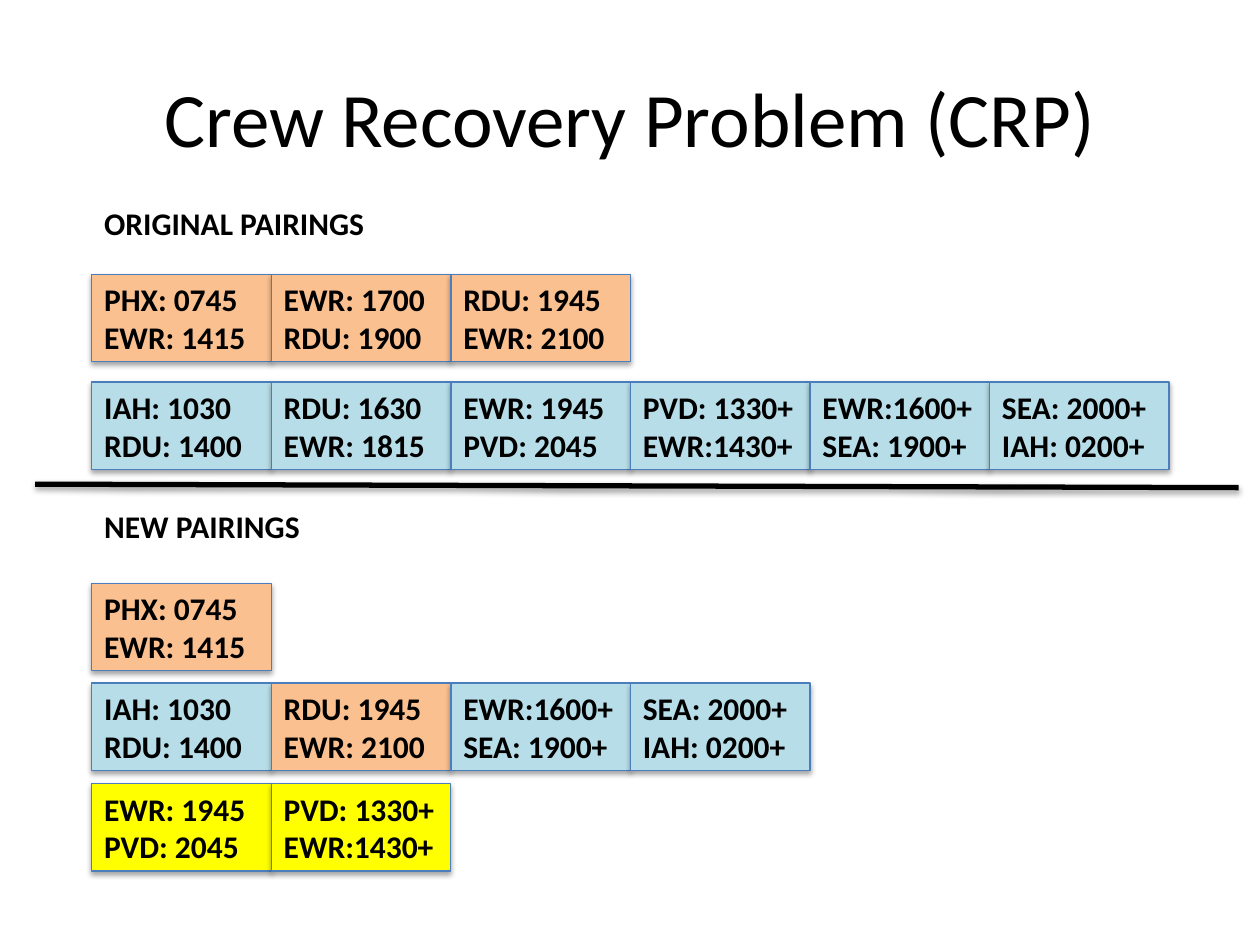
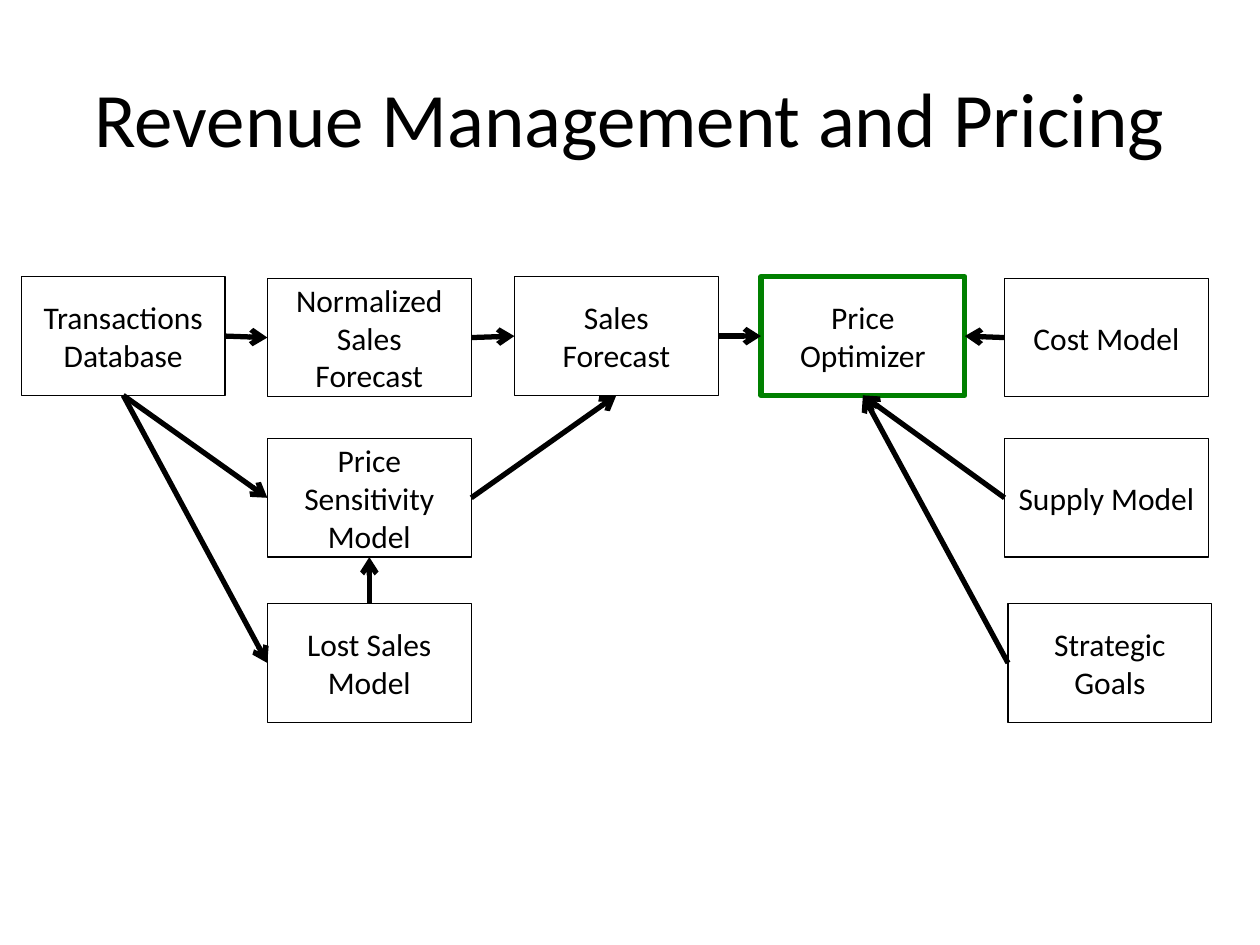
from lxml import etree
from pptx import Presentation
from pptx.dml.color import RGBColor
from pptx.enum.shapes import MSO_CONNECTOR, MSO_SHAPE
from pptx.enum.text import MSO_ANCHOR, PP_ALIGN
from pptx.oxml.ns import qn
from pptx.util import Cm, Pt

RECTANGLE = MSO_SHAPE.RECTANGLE
STRAIGHT = MSO_CONNECTOR.STRAIGHT
MIDDLE = MSO_ANCHOR.MIDDLE
LEFT, CENTER = PP_ALIGN.LEFT, PP_ALIGN.CENTER

BLACK = RGBColor(0x00, 0x00, 0x00)
ORANGE = RGBColor(0xFA, 0xC0, 0x90)
LIGHT_BLUE = RGBColor(0xB7, 0xDE, 0xE8)
YELLOW = RGBColor(0xFF, 0xFF, 0x00)
LEG_BORDER = RGBColor(0x4B, 0x7E, 0xBC)
GREEN = RGBColor(0x00, 0x80, 0x00)

FONT = "Calibri"
TITLE_ONLY = 5
TOP_SIDE, LEFT_SIDE, BOTTOM_SIDE, RIGHT_SIDE = range(4)

LEG_LEFT, LEG_WIDTH, LEG_HEIGHT = 1.85, 3.62, 1.76
BOX_WIDTH, BOX_HEIGHT = 4.11, 2.39

# Flight legs: departure and arrival of each
PHX_EWR = "PHX: 0745 EWR: 1415"
EWR_RDU = "EWR: 1700\nRDU: 1900"
RDU_EWR_LATE = "RDU: 1945 EWR: 2100"
IAH_RDU = "IAH: 1030 RDU: 1400"
RDU_EWR = "RDU: 1630\nEWR: 1815"
EWR_PVD = "EWR: 1945\nPVD: 2045"
PVD_EWR = "PVD: 1330+\nEWR:1430+"
EWR_SEA = "EWR:1600+\nSEA: 1900+"
SEA_IAH = "SEA: 2000+\nIAH: 0200+"

# Top of each row, then its legs with their colours
PAIRINGS = [
    (5.53, [(PHX_EWR, ORANGE), (EWR_RDU, ORANGE), (RDU_EWR_LATE, ORANGE)]),
    (7.7, [(leg, LIGHT_BLUE) for leg in
           (IAH_RDU, RDU_EWR, EWR_PVD, PVD_EWR, EWR_SEA, SEA_IAH)]),
    (11.76, [(PHX_EWR, ORANGE)]),
    (13.77, [(IAH_RDU, LIGHT_BLUE), (RDU_EWR_LATE, ORANGE),
             (EWR_SEA, LIGHT_BLUE), (SEA_IAH, LIGHT_BLUE)]),
    (15.8, [(EWR_PVD, YELLOW), (PVD_EWR, YELLOW)]),
]

# Left and top of each model box
MODEL_BOXES = {
    "Transactions\nDatabase": (0.43, 5.58),
    "Price Sensitivity Model": (5.39, 8.84),
    "Lost Sales Model": (5.39, 12.17),
    "Normalized Sales Forecast": (5.39, 5.61),
    "Sales Forecast": (10.37, 5.58),
    "Price Optimizer": (15.34, 5.58),
    "Cost Model": (20.25, 5.61),
    "Supply Model": (20.25, 8.84),
    "Strategic\nGoals": (20.32, 12.17),
}

DATA_FLOWS = [
    ("Transactions\nDatabase", RIGHT_SIDE, "Normalized Sales Forecast", LEFT_SIDE),
    ("Normalized Sales Forecast", RIGHT_SIDE, "Sales Forecast", LEFT_SIDE),
    ("Cost Model", LEFT_SIDE, "Price Optimizer", RIGHT_SIDE),
    ("Sales Forecast", RIGHT_SIDE, "Price Optimizer", LEFT_SIDE),
    ("Transactions\nDatabase", BOTTOM_SIDE, "Price Sensitivity Model", LEFT_SIDE),
    ("Transactions\nDatabase", BOTTOM_SIDE, "Lost Sales Model", LEFT_SIDE),
    ("Supply Model", LEFT_SIDE, "Price Optimizer", BOTTOM_SIDE),
    ("Strategic\nGoals", LEFT_SIDE, "Price Optimizer", BOTTOM_SIDE),
    ("Price Sensitivity Model", RIGHT_SIDE, "Sales Forecast", BOTTOM_SIDE),
    ("Lost Sales Model", TOP_SIDE, "Price Sensitivity Model", BOTTOM_SIDE),
]


def set_text(shape, text, size=18, bold=False, align=LEFT):
    frame = shape.text_frame
    frame.text = text
    for paragraph in frame.paragraphs:
        paragraph.alignment = align
        for run in paragraph.runs:
            run.font.name = FONT
            run.font.size = Pt(size)
            run.font.bold = bold
            run.font.color.rgb = BLACK


def add_titled_slide(prs, text):
    slide = prs.slides.add_slide(prs.slide_layouts[TITLE_ONLY])
    title = slide.shapes.title
    title.left, title.top = Cm(1.27), Cm(0.76)
    title.width, title.height = Cm(22.86), Cm(3.18)
    set_text(title, text, size=44, align=CENTER)
    title.text_frame.vertical_anchor = MIDDLE
    return slide


def set_drop_shadow(shape, distance, opacity):
    """Replace the theme's effects with a soft shadow straight below."""
    properties = shape.element.spPr
    effects = properties.find(qn("a:effectLst"))
    if effects is None:
        effects = etree.SubElement(properties, qn("a:effectLst"))
    shadow = etree.SubElement(
        effects, qn("a:outerShdw"), blurRad=str(Pt(3.1)), dist=str(Pt(distance)),
        dir="5400000", rotWithShape="0")
    color = etree.SubElement(shadow, qn("a:srgbClr"), val=str(BLACK))
    etree.SubElement(color, qn("a:alpha"), val=str(opacity * 1000))


def add_box(slide, left, top, width, height, border, border_width=0.75):
    box = slide.shapes.add_shape(
        RECTANGLE, Cm(left), Cm(top), Cm(width), Cm(height))
    box.shadow.inherit = False
    box.fill.background()
    box.line.color.rgb = border
    box.line.width = Pt(border_width)
    box.text_frame.word_wrap = True
    box.text_frame.vertical_anchor = MIDDLE
    return box


def add_flight_leg(slide, column, top, text, color):
    leg = add_box(slide, LEG_LEFT + column * LEG_WIDTH, top,
                  LEG_WIDTH, LEG_HEIGHT, LEG_BORDER)
    leg.fill.solid()
    leg.fill.fore_color.rgb = color
    set_drop_shadow(leg, 1.8, 35)
    set_text(leg, text, bold=True)


def add_heading(slide, top, width, text):
    heading = slide.shapes.add_textbox(Cm(LEG_LEFT), Cm(top), Cm(width), Cm(1.03))
    heading.text_frame.word_wrap = False
    set_text(heading, text, bold=True)


def add_thick_line(slide, x1=0, y1=0, x2=0, y2=0):
    line = slide.shapes.add_connector(STRAIGHT, Cm(x1), Cm(y1), Cm(x2), Cm(y2))
    line.line.color.rgb = BLACK
    line.line.width = Pt(3)
    etree.SubElement(line.element.spPr, qn("a:effectLst"))
    return line


def add_flow_arrow(slide, source, source_side, target, target_side):
    arrow = add_thick_line(slide)
    arrow.begin_connect(source, source_side)
    arrow.end_connect(target, target_side)
    outline = arrow.element.spPr.find(qn("a:ln"))
    etree.SubElement(outline, qn("a:tailEnd"), type="arrow")


def build_crew_recovery(prs):
    slide = add_titled_slide(prs, "Crew Recovery Problem (CRP)")
    for top, legs in PAIRINGS:
        for column, (text, color) in enumerate(legs):
            add_flight_leg(slide, column, top, text, color)
    divider = add_thick_line(slide, 0.71, 9.76, 24.97, 9.83)
    set_drop_shadow(divider, 1.6, 38)
    add_heading(slide, 3.99, 5.84, "ORIGINAL PAIRINGS")
    add_heading(slide, 10.09, 4.55, "NEW PAIRINGS")


def build_revenue_management(prs):
    slide = add_titled_slide(prs, "Revenue Management and Pricing")
    boxes = {}
    for text, (left, top) in MODEL_BOXES.items():
        border, width = (GREEN, 3) if text == "Price Optimizer" else (BLACK, 0.75)
        boxes[text] = add_box(slide, left, top, BOX_WIDTH, BOX_HEIGHT, border, width)
        set_text(boxes[text], text, align=CENTER)
    for source, source_side, target, target_side in DATA_FLOWS:
        add_flow_arrow(slide, boxes[source], source_side, boxes[target], target_side)


def main():
    prs = Presentation()
    prs.slide_width, prs.slide_height = Cm(25.4), Cm(19.05)
    build_crew_recovery(prs)
    build_revenue_management(prs)
    prs.save("out.pptx")


if __name__ == "__main__":
    main()
